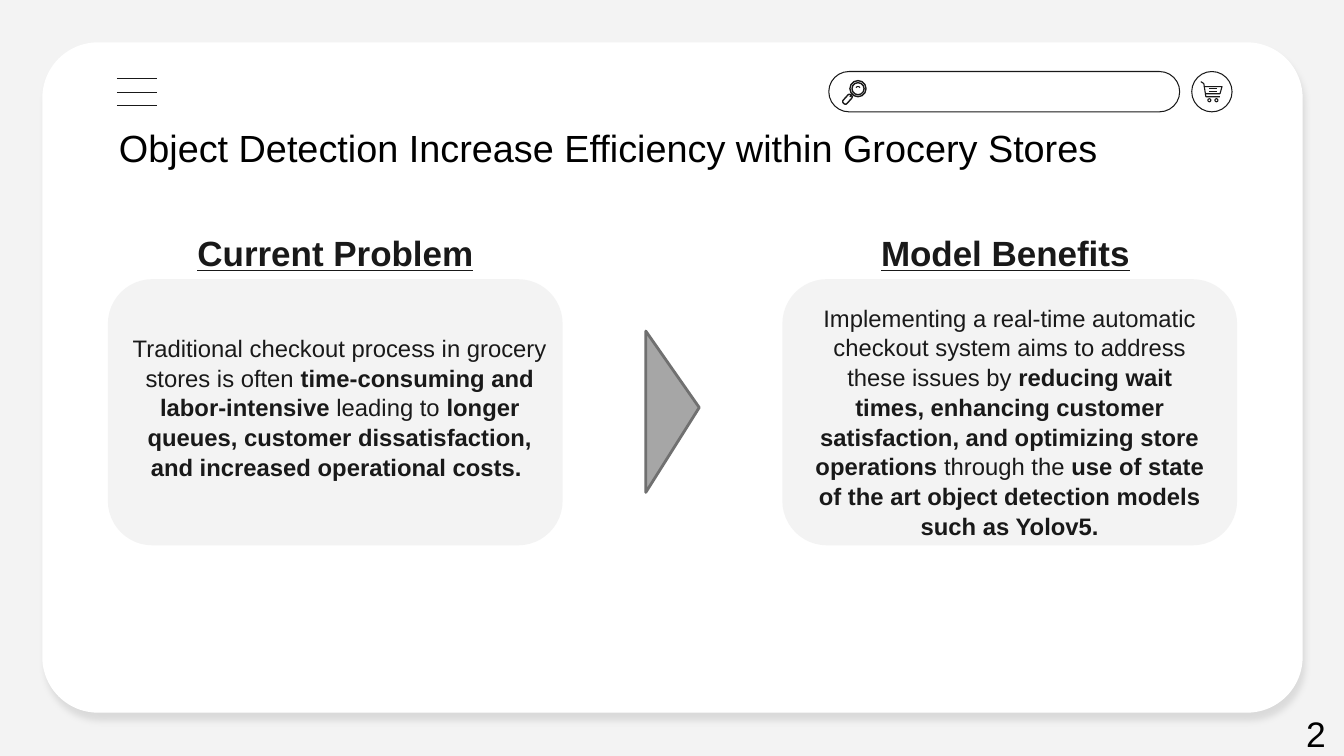
from lxml import etree
from pptx import Presentation
from pptx.dml.color import RGBColor
from pptx.enum.shapes import MSO_CONNECTOR, MSO_SHAPE
from pptx.enum.text import MSO_ANCHOR, PP_ALIGN
from pptx.oxml.ns import qn
from pptx.util import Inches, Pt

WHITE = RGBColor(0xFF, 0xFF, 0xFF)
BLACK = RGBColor(0, 0, 0)
INK = RGBColor(0x19, 0x19, 0x19)
PALE = RGBColor(0xF3, 0xF3, 0xF3)
GREY = RGBColor(0xA6, 0xA6, 0xA6)
DARK_GREY = RGBColor(0x70, 0x70, 0x70)
ROUNDED = MSO_SHAPE.ROUNDED_RECTANGLE
ELLIPSE = MSO_SHAPE.OVAL
TRIANGLE = MSO_SHAPE.ISOSCELES_TRIANGLE
STRAIGHT = MSO_CONNECTOR.STRAIGHT
TOP = MSO_ANCHOR.TOP
LEFT, CENTER, RIGHT = PP_ALIGN.LEFT, PP_ALIGN.CENTER, PP_ALIGN.RIGHT


class SlideBuilder:
    """Draw styled elements on one slide."""

    font = "Arial"
    inset = 0.13

    def __init__(self, slide):
        self.slide = slide
        self.shapes = slide.shapes
        slide.background.fill.solid()
        slide.background.fill.fore_color.rgb = PALE

    def paint(self, shape, fill, line, width):
        shape.shadow.inherit = False
        if fill is None:
            shape.fill.background()
        else:
            shape.fill.solid()
            shape.fill.fore_color.rgb = fill
        if line is None:
            shape.line.fill.background()
        else:
            shape.line.color.rgb = line
            shape.line.width = Pt(width)

    def shape(self, kind, box, fill=None, line=None, width=0.75, adjust=None, rotation=0):
        shape = self.shapes.add_shape(kind, *map(Inches, box))
        self.paint(shape, fill, line, width)
        shape.rotation = rotation
        if adjust is not None:
            shape.adjustments[0] = adjust
        return shape

    def drop_shadow(self, shape):
        effects = shape._element.spPr.find(qn("a:effectLst"))
        shadow = etree.SubElement(
            effects, qn("a:outerShdw"), blurRad=str(Pt(4.5)), dist=str(Pt(6)),
            dir=str(68 * 60000), algn="bl", rotWithShape="0")
        color = etree.SubElement(shadow, qn("a:srgbClr"), val=str(BLACK))
        etree.SubElement(color, qn("a:alpha"), val="10000")

    def line(self, start, end, width=0.75):
        connector = self.shapes.add_connector(STRAIGHT, *map(Inches, start + end))
        connector.line.color.rgb = INK
        connector.line.width = Pt(width)
        etree.SubElement(connector._element.spPr, qn("a:effectLst"))

    def outline(self, points, width):
        (left, top), *others = [(Inches(x), Inches(y)) for x, y in points]
        builder = self.shapes.build_freeform(left, top)
        builder.add_line_segments(others, close=False)
        self.paint(builder.convert_to_shape(), None, INK, width)

    def set_text(self, shape, runs, size, color, align=LEFT, inset=inset, spacing=None,
                 bold=None, underline=None):
        frame = shape.text_frame
        frame.word_wrap = True
        frame.vertical_anchor = TOP
        frame.margin_left = frame.margin_right = Inches(inset)
        frame.margin_top = frame.margin_bottom = Inches(inset / 2 if underline else inset)
        paragraph = frame.paragraphs[0]
        paragraph.alignment = align
        paragraph.space_before = Pt(0)
        paragraph.line_spacing = spacing
        font = paragraph.font
        font.name, font.size, font.color.rgb = self.font, Pt(size), color
        font.bold, font.underline = bold, underline
        for text, is_bold in runs:
            run = paragraph.add_run()
            run.text = text
            if is_bold:
                run.font.bold = True

    def text(self, box, runs, size, color, **style):
        self.set_text(self.shapes.add_textbox(*map(Inches, box)), runs, size, color, **style)

    def title(self, box, text, size):
        title = self.shapes.title
        title.left, title.top, title.width, title.height = map(Inches, box)
        self.set_text(title, [(text, False)], size, BLACK, spacing=1.0)
        self.shapes._spTree.append(title._element)

    def heading(self, box, text):
        self.text(box, [(text, False)], 25, INK, inset=0.1, bold=True, underline=True)

    def panel(self, left, heading_box, heading, body_box, runs):
        self.shape(ROUNDED, (left, 2.77, 4.51, 2.64), fill=PALE, adjust=0.167)
        self.text(body_box, runs, 17, INK, align=CENTER, spacing=1.04)
        self.heading(heading_box, heading)

    def magnifier(self):
        for left, top, size in ((8.43, 0.8, 0.16), (8.45, 0.82, 0.12)):
            self.shape(ELLIPSE, (left, top, size, size), line=INK, width=1)
        self.outline([(8.49, 0.87), (8.5, 0.86), (8.52, 0.86), (8.53, 0.87)], 0.75)
        self.line((8.43, 0.96), (8.45, 0.94), 1)
        self.shape(ROUNDED, (8.35, 0.96, 0.11, 0.05), line=INK, width=1,
                   adjust=0.4, rotation=-48)

    def cart(self):
        self.outline([(11.91, 0.81), (11.94, 0.83), (11.96, 0.96), (12.1, 0.96)], 0.8)
        self.outline([(11.94, 0.86), (12.12, 0.86), (12.1, 0.93), (11.96, 0.93)], 0.8)
        for bar_top in (0.88, 0.91):
            self.line((11.99, bar_top), (12.07, bar_top), 0.8)
        for wheel_left in (11.98, 12.05):
            self.shape(ELLIPSE, (wheel_left, 0.98, 0.03, 0.03), line=INK, width=0.8)


def main():
    presentation = Presentation()
    presentation.slide_width = Inches(13.33)
    presentation.slide_height = Inches(7.5)
    builder = SlideBuilder(presentation.slides.add_slide(presentation.slide_layouts[5]))

    card = builder.shape(ROUNDED, (0.42, 0.42, 12.5, 6.65), fill=WHITE, adjust=0.083)
    builder.drop_shadow(card)
    for menu_top in (0.78, 0.92, 1.05):
        builder.line((1.16, menu_top), (1.56, menu_top))
    builder.shape(ROUNDED, (8.22, 0.71, 3.48, 0.4), line=INK, adjust=0.5)
    builder.magnifier()
    builder.shape(ELLIPSE, (11.82, 0.71, 0.4, 0.4), line=INK)
    builder.cart()

    builder.title((1.05, 1.11, 11.23, 0.84),
                  "Object Detection Increase Efficiency within Grocery Stores", 27)
    builder.text((12.48, 6.93, 0.8, 0.57), [("2", False)], 25.3, BLACK, align=RIGHT)

    builder.panel(7.76, (8.64, 2.25, 2.76, 0.52), "Model Benefits", (7.95, 2.87, 4.13, 2.54), [
        ("Implementing a real-time automatic checkout system aims to address these issues by ",
         False),
        ("reducing wait times, enhancing customer satisfaction, and optimizing store operations ",
         True),
        ("through the ", False),
        ("use of state of the art object detection models such as Yolov5.", True),
    ])
    builder.panel(1.07, (1.86, 2.25, 3.02, 0.52), "Current Problem", (1.17, 3.17, 4.4, 1.83), [
        ("Traditional checkout process in grocery stores is often ", False),
        ("time-consuming and labor-intensive", True),
        (" leading to ", False),
        ("longer queues, customer dissatisfaction, and increased operational costs. ", True),
    ])
    builder.shape(TRIANGLE, (5.87, 3.82, 1.6, 0.53), fill=GREY, line=DARK_GREY, width=2,
                  adjust=0.474, rotation=90)
    presentation.save("out.pptx")


if __name__ == "__main__":
    main()
